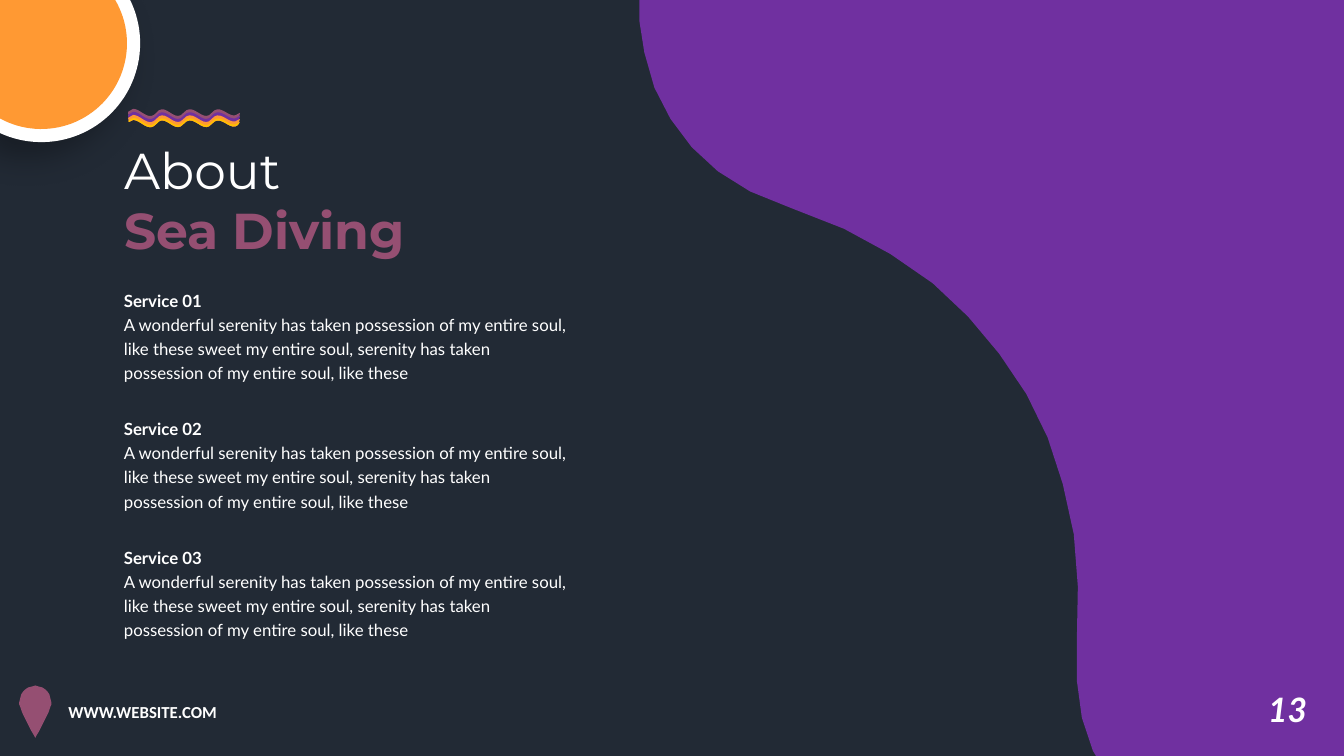
"""Build the "About Sea Diving" slide."""
import math

from lxml import etree
from pptx import Presentation
from pptx.dml.color import RGBColor
from pptx.enum.text import MSO_ANCHOR, MSO_AUTO_SIZE, PP_ALIGN
from pptx.oxml import parse_xml
from pptx.oxml.ns import nsdecls, qn
from pptx.util import Inches, Pt

TOP, LEFT, NO_FIT = MSO_ANCHOR.TOP, PP_ALIGN.LEFT, MSO_AUTO_SIZE.NONE
TITLE_ONLY = 5
COLORS = {"night": "222A35", "purple": "7030A0", "plum": "954F72",
          "orange": "FF9933", "yellow": "FFC000", "white": "FFFFFF",
          "black": "000000"}

SWOOSH = [
    (13.37, 0), (6.34, 0), (6.34, 0.2), (6.39, 0.52), (6.49, 0.87),
    (6.65, 1.18), (6.86, 1.46), (7.12, 1.7), (7.44, 1.9), (7.81, 2.05),
    (7.86, 2.07), (8.37, 2.27), (8.83, 2.52), (9.25, 2.81), (9.6, 3.14),
    (9.91, 3.51), (10.18, 3.91), (10.39, 4.34), (10.54, 4.8), (10.65, 5.3),
    (10.69, 5.82), (10.68, 6.37), (10.68, 6.75), (10.73, 7.12),
    (10.84, 7.45), (10.87, 7.5), (13.37, 7.5)]
PIN_CENTER = 0.35
PIN_HALF = [
    (0, 6.8), (0.03, 6.81), (0.07, 6.82), (0.1, 6.84), (0.12, 6.86),
    (0.14, 6.89), (0.15, 6.93), (0.16, 6.97), (0.16, 6.99), (0.15, 7.01),
    (0.13, 7.07), (0.1, 7.13), (0.07, 7.19), (0.04, 7.25), (0.01, 7.3),
    (0, 7.32)]
WAVE_CURVES = [
    ((1.32, 1.08), (1.4, 1.08), (1.47, 1.21), (1.55, 1.12)),
    ((1.55, 1.12), (1.64, 1), (1.73, 1.23), (1.82, 1.12)),
    ((1.82, 1.12), (1.92, 1), (2.01, 1.23), (2.1, 1.12)),
    ((2.1, 1.12), (2.19, 1.01), (2.28, 1.2), (2.36, 1.13))]
WAVE_LAYERS = ["plum", "purple", "orange", "yellow"]
WAVE_STEP, WAVE_DEPTH = 0.03, 0.11
SERVICE_TEXT = (
    "A wonderful serenity has taken possession of my entire soul, like these "
    "sweet my entire soul, serenity has taken possession of my entire soul, "
    "like these")


def rgb(name):
    """Return the named palette colour."""
    return RGBColor.from_string(COLORS[name])


def add_outline(s, points, color):
    """Add a closed, filled outline through points given in inches."""
    start, *rest = [(Inches(x), Inches(y)) for x, y in points]
    builder = s.shapes.build_freeform(*start, scale=1.0)
    builder.add_line_segments(rest, close=True)
    sp = builder.convert_to_shape()
    sp.shadow.inherit = False
    sp.fill.solid()
    sp.fill.fore_color.rgb = rgb(color)
    sp.line.fill.background()
    return sp


def add_soft_shadow(sp):
    """Give a shape a blurred outer shadow."""
    effects = sp._element.spPr.find(qn("a:effectLst"))
    shadow = parse_xml(
        f'<a:outerShdw {nsdecls("a")} blurRad="{Pt(23)}" dist="{Pt(15)}" '
        'dir="8100000" algn="ctr" rotWithShape="0"/>')
    color = etree.SubElement(shadow, qn("a:srgbClr"), val=COLORS["black"])
    etree.SubElement(color, qn("a:alpha"), val="29000")
    effects.append(shadow)


def corner_disc(radius, cx=0.41, cy=0.43, steps=48):
    """Return the part of a disc that lies inside the top left corner."""
    first = -math.asin(cy / radius)
    last = math.pi - math.acos(cx / radius)
    angles = [first + (last - first) * i / steps for i in range(steps + 1)]
    return [(0, 0)] + [(cx + radius * math.cos(a), cy + radius * math.sin(a))
                       for a in angles]


def bezier(curve, t):
    """Return the point at t on a cubic curve."""
    weights = [math.comb(3, i) * (1 - t) ** (3 - i) * t ** i for i in range(4)]
    return tuple(sum(w * p[axis] for w, p in zip(weights, curve))
                 for axis in (0, 1))


def wave_band(offset, steps=10):
    """Return a wavy band whose top edge is lowered by offset."""
    crest = [bezier(c, i / steps) for c in WAVE_CURVES for i in range(steps + 1)]
    upper = [(1.27, 1.11), *crest, (2.38, 1.12)]
    lower = [(x, y + WAVE_DEPTH) for x, y in reversed(crest)]
    return [(x, y + offset) for x, y in upper] + lower + [(1.28, 1.21)]


def write_paragraphs(tf, lines, size, font, spacing=1.0):
    """Write (text, colour, bold) lines as paragraphs."""
    for i, (text, color, bold) in enumerate(lines):
        p = tf.paragraphs[0] if i == 0 else tf.add_paragraph()
        p.text = text
        p.alignment = LEFT
        p.line_spacing = spacing
        p.font.name = font
        p.font.size = Pt(size)
        p.font.bold = bold
        p.font.color.rgb = rgb(color)


def add_text(s, box, lines, size, font, spacing=1.0, wrap=True):
    """Add a text box at (left, top, width, height) inches."""
    tf = s.shapes.add_textbox(*map(Inches, box)).text_frame
    tf.word_wrap = wrap
    write_paragraphs(tf, lines, size, font, spacing)
    return tf


def set_title(s, box, lines):
    """Move the title placeholder and write its lines."""
    title = s.shapes.title
    title.left, title.top, title.width, title.height = map(Inches, box)
    tf = title.text_frame
    tf.vertical_anchor = TOP
    tf.auto_size = NO_FIT
    write_paragraphs(tf, lines, 36, "Montserrat")


def main():
    """Build and save the slide."""
    prs = Presentation()
    prs.slide_width, prs.slide_height = Inches(13.33), Inches(7.5)
    s = prs.slides.add_slide(prs.slide_layouts[TITLE_ONLY])
    s.background.fill.solid()
    s.background.fill.fore_color.rgb = rgb("night")

    add_outline(s, [(min(x, 13.33), y) for x, y in SWOOSH], "purple")
    number = add_text(s, (12.48, 6.79, 0.59, 0.5), [("13", "white", True)],
                      24, "Lato", wrap=False)
    number.paragraphs[0].font.italic = True

    pin = [(PIN_CENTER + side * x, y)
           for side, half in ((1, PIN_HALF), (-1, PIN_HALF[::-1]))
           for x, y in half]
    add_outline(s, pin, "plum")
    add_text(s, (0.58, 6.91, 2.53, 0.3), [("WWW.WEBSITE.COM", "white", True)],
             12, "Calibri")

    add_soft_shadow(add_outline(s, corner_disc(0.98), "white"))
    add_outline(s, corner_disc(0.85), "orange")

    set_title(s, (1.13, 1.33, 3.77, 1.31),
              [("About", "white", False), ("Sea Diving", "plum", True)])
    for i, color in enumerate(WAVE_LAYERS):
        add_outline(s, wave_band(i * WAVE_STEP), color)

    for i in range(3):
        add_text(s, (1.13, 2.79 + i * 1.275, 4.61, 1.05),
                 [(f"Service {i + 1:02}", "white", True),
                  (SERVICE_TEXT, "white", False)], 12, "Lato", spacing=1.2)

    prs.save("out.pptx")


if __name__ == "__main__":
    main()
